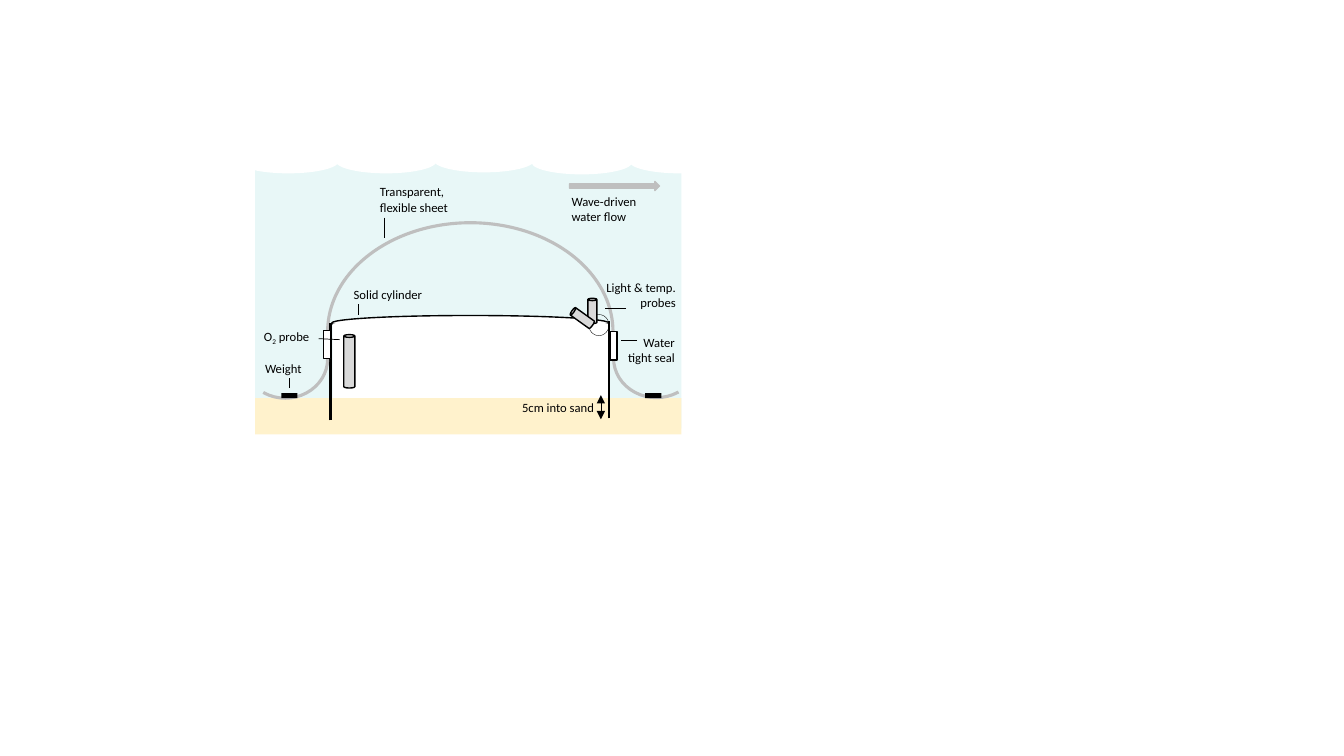
import dataclasses

import pptx
import pptx.dml.color
import pptx.enum.shapes
import pptx.enum.text
import pptx.oxml.ns
import pptx.util
from lxml import etree

RGBColor = pptx.dml.color.RGBColor
SHAPE = pptx.enum.shapes.MSO_SHAPE
LEFT = pptx.enum.text.PP_ALIGN.LEFT
RIGHT = pptx.enum.text.PP_ALIGN.RIGHT

WATER = RGBColor(0xE8, 0xF7, 0xF7)
SAND = RGBColor(0xFF, 0xF2, 0xCC)
SHEET = RGBColor(0xBF, 0xBF, 0xBF)
PROBE = RGBColor(0xD9, 0xD9, 0xD9)
BLACK = RGBColor(0, 0, 0)
WHITE = RGBColor(0xFF, 0xFF, 0xFF)

CELL = pptx.util.Inches(0.01)
SLIDE_COLUMNS, SLIDE_ROWS = 1333, 750


@dataclasses.dataclass
class Box:
    left: int
    top: int
    width: int
    height: int

    def point(self, column, row):
        return (self.left + column) * CELL, (self.top + row) * CELL


def add_shape(slide, box, kind, place, fill=None, line=None, weight=1, rotation=0):
    column, row, width, height = place
    shape = slide.shapes.add_shape(
        kind, *box.point(column, row), width * CELL, height * CELL)
    shape.shadow.inherit = False
    shape.rotation = rotation
    if fill is None:
        shape.fill.background()
    else:
        shape.fill.solid()
        shape.fill.fore_color.rgb = fill
    if line is None:
        shape.line.fill.background()
    else:
        shape.line.color.rgb = line
        shape.line.width = pptx.util.Pt(weight)
    return shape


def add_arc(slide, box, place, start, end, rotation=0):
    arc = add_shape(slide, box, SHAPE.ARC, place, None, SHEET, 2.25, rotation)
    arc.adjustments[0] = start
    arc.adjustments[1] = end
    return arc


def add_line(slide, box, start, end, weight=0.5, arrowheads=False):
    connector = slide.shapes.add_connector(
        pptx.enum.shapes.MSO_CONNECTOR.STRAIGHT, *box.point(*start), *box.point(*end))
    connector.line.color.rgb = BLACK
    connector.line.width = pptx.util.Pt(weight)
    if arrowheads:
        outline = connector.line._get_or_add_ln()
        for tag in ("a:headEnd", "a:tailEnd"):
            etree.SubElement(outline, pptx.oxml.ns.qn(tag), type="triangle")
    etree.SubElement(connector.element.spPr, pptx.oxml.ns.qn("a:effectLst"))


def add_label(slide, box, place, lines, alignment=LEFT):
    column, row, width, height = place
    label = slide.shapes.add_textbox(
        *box.point(column, row), width * CELL, height * CELL)
    frame = label.text_frame
    frame.word_wrap = True
    frame.text = lines
    for paragraph in frame.paragraphs:
        paragraph.alignment = alignment
        format_runs(paragraph)
    return frame.paragraphs[0]


def format_runs(paragraph):
    for run in paragraph.runs:
        run.font.name = "Calibri"
        run.font.size = pptx.util.Pt(9)
        run.font.color.rgb = BLACK


def draw_water(slide, box):
    add_shape(slide, box, SHAPE.RECTANGLE, (0, 0, box.width, 267), WATER)
    for index, row in enumerate((-10, -10, -11, -9, -10)):
        add_shape(slide, box, SHAPE.OVAL, (97 * index - 17, row, 100, 24), WHITE)
    add_shape(slide, box, SHAPE.DOWN_ARROW, (352, -18, 9, 89), SHEET, SHEET, rotation=270)


def draw_chamber(slide, box):
    add_arc(slide, box, (72, 63, 283, 216), 107.814, 0.357)
    add_shape(slide, box, SHAPE.OVAL, (76, 155, 275, 15), WHITE, BLACK)
    add_shape(slide, box, SHAPE.RECTANGLE, (77, 163, 274, 82), WHITE)
    add_shape(slide, box, SHAPE.RECTANGLE, (0, 237, box.width, 36), SAND)
    add_line(slide, box, (351, 257), (351, 160), 2)
    add_line(slide, box, (75, 259), (75, 162), 2)


def draw_skirts(slide, box):
    sides = (
        ((-9, 156, 78, 84), 26, (68, 170), True),
        ((359, 155, 78, 85), 387, (352, 171), False),
    )
    for skirt, weight_column, seal, flipped in sides:
        arc = add_arc(slide, box, skirt, 196.04, 54.878, 90)
        if flipped:
            arc.element.spPr.find(pptx.oxml.ns.qn("a:xfrm")).set("flipV", "1")
        add_shape(slide, box, SHAPE.RECTANGLE, (weight_column, 232, 16, 5), BLACK)
        add_shape(slide, box, SHAPE.RECTANGLE, (*seal, 7, 28), WHITE, BLACK)


def draw_probes(slide, box):
    add_shape(slide, box, SHAPE.OVAL, (331, 154, 20, 21), None, BLACK, 0.25)
    probes = (
        ((88, 174, 11, 53), 0),
        ((330, 138, 9, 25), 0),
        ((320, 145, 9, 25), 305.6),
    )
    for place, rotation in probes:
        add_shape(slide, box, SHAPE.CAN, place, PROBE, BLACK, rotation=rotation)


def draw_labels(slide, box):
    labels = (
        ((114, 20, 115, 40), "Transparent, flexible sheet", LEFT),
        ((337, 169, 89, 40), "Water\ntight seal", RIGHT),
        ((0, 195, 61, 25), "Weight", LEFT),
        ((338, 115, 89, 40), "Light & temp. probes", RIGHT),
        ((88, 122, 113, 25), "Solid cylinder", LEFT),
        ((255, 234, 94, 25), "5cm into sand", LEFT),
        ((304, 29, 89, 40), "Wave-driven water flow", LEFT),
    )
    for place, lines, alignment in labels:
        add_label(slide, box, place, lines, alignment)

    oxygen = add_label(slide, box, (-1, 163, 66, 25), "O")
    for text in ("2", " probe"):
        oxygen.add_run().text = text
    format_runs(oxygen)
    oxygen.runs[1].font._element.set("baseline", "-25000")

    leaders = (
        ((128, 58), (128, 78)),
        ((34, 227), (34, 217)),
        ((63, 178), (84, 179)),
        ((102, 144), (102, 155)),
        ((379, 180), (363, 180)),
        ((368, 148), (347, 148)),
    )
    for start, end in leaders:
        add_line(slide, box, start, end)
    add_line(slide, box, (343, 258), (343, 234), arrowheads=True)


def main():
    presentation = pptx.Presentation()
    presentation.slide_width = SLIDE_COLUMNS * CELL
    presentation.slide_height = SLIDE_ROWS * CELL
    slide = presentation.slides.add_slide(presentation.slide_layouts[6])
    scene = Box(253, 158, 423, 273)
    for draw in (draw_water, draw_chamber, draw_skirts, draw_probes, draw_labels):
        draw(slide, scene)
    presentation.save("out.pptx")


if __name__ == "__main__":
    main()
